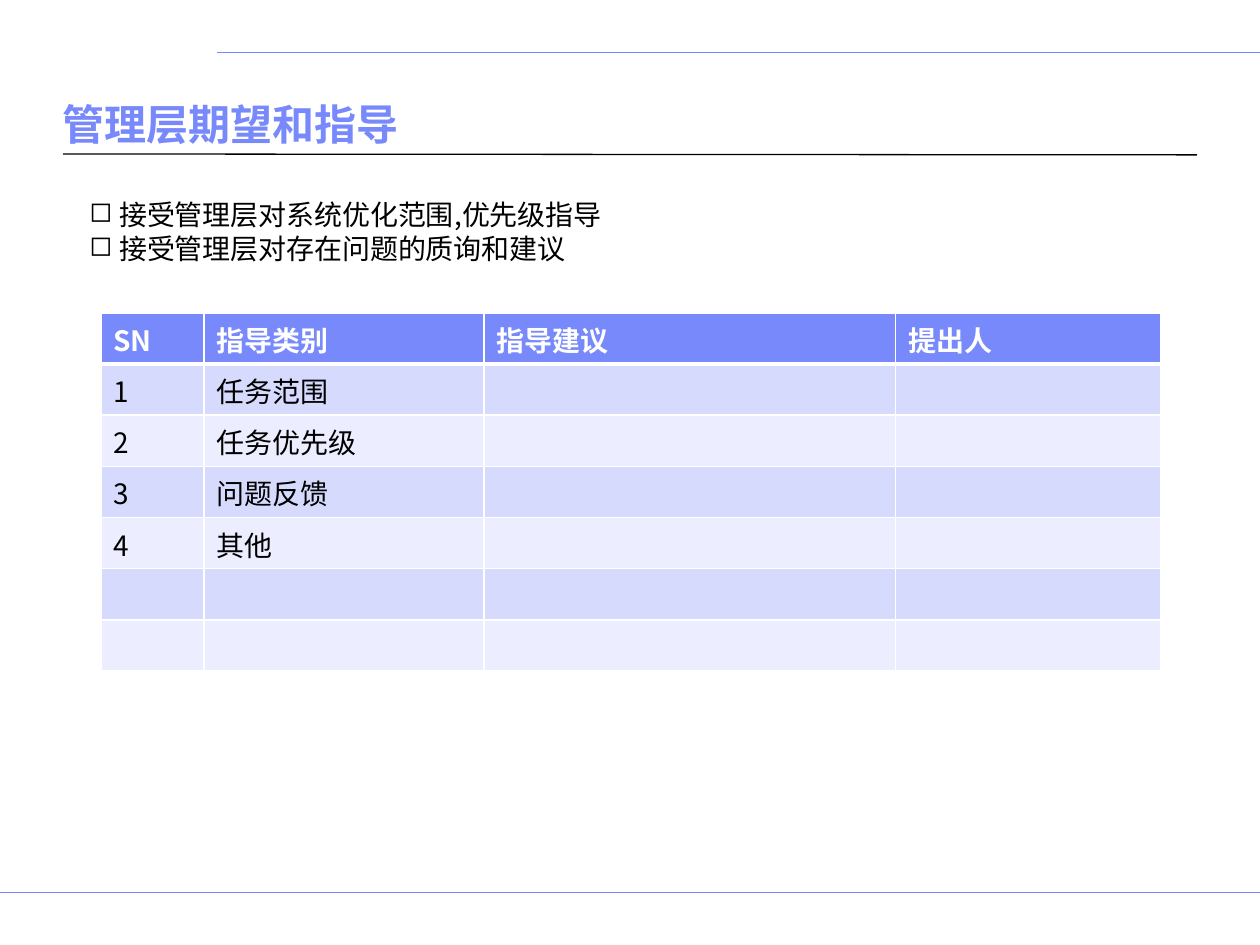
from lxml.etree import SubElement
from pptx import Presentation
from pptx.dml.color import RGBColor
from pptx.enum.shapes import MSO_CONNECTOR
from pptx.enum.text import MSO_ANCHOR
from pptx.oxml.ns import qn
from pptx.util import Pt

FONT = "Noto Sans CJK SC"
BLUE = RGBColor(0x78, 0x89, 0xFB)
BLACK = RGBColor(0, 0, 0)
WHITE = RGBColor(0xFF, 0xFF, 0xFF)
BANDS = (RGBColor(0xD6, 0xDA, 0xFD), RGBColor(0xEC, 0xED, 0xFE))

TITLE = "管理层期望和指导"
GOALS = ["接受管理层对系统优化范围,优先级指导", "接受管理层对存在问题的质询和建议"]
HEADER = ["SN", "指导类别", "指导建议", "提出人"]
CATEGORIES = ["任务范围", "任务优先级", "问题反馈", "其他"]
EMPTY_ROWS = 2
COLUMN_WIDTHS = [59, 160, 235.3, 151.2]
ROW_HEIGHT = 29.25
BODY_SIZE = 16
RULES = [
    ((123.8, 30), (720, 30), BLUE, 0.5),
    ((0, 510), (720, 510), BLUE, 0.5),
    ((36, 88), (684, 88.5), BLACK, 0.75),
]


def add_rule(slide, start, end, color, width):
    connector = slide.shapes.add_connector(
        MSO_CONNECTOR.STRAIGHT, *(Pt(value) for value in start + end)
    )
    connector.line.color.rgb = color
    connector.line.width = Pt(width)
    SubElement(connector._element.spPr, qn("a:effectLst"))


def add_text(paragraph, text, size, color, bold=False):
    run = paragraph.add_run()
    run.text = text
    run.font.size = Pt(size)
    run.font.bold = bold
    run.font.color.rgb = color
    run.font.name = FONT
    SubElement(run._r.get_or_add_rPr(), qn("a:ea"), typeface=FONT)


def add_text_frame(slide, left, top, width, height):
    frame = slide.shapes.add_textbox(Pt(left), Pt(top), Pt(width), Pt(height)).text_frame
    frame.word_wrap = True
    return frame


def add_bullet(paragraph, indent):
    properties = paragraph._p.get_or_add_pPr()
    properties.set("marL", str(Pt(indent)))
    properties.set("indent", str(-Pt(indent)))
    SubElement(properties, qn("a:buChar"), char="◻")


def set_borders(cell, bottom_width):
    properties = cell._tc.get_or_add_tcPr()
    widths = {"lnL": 1, "lnR": 1, "lnT": 1, "lnB": bottom_width}
    for position, (side, width) in enumerate(widths.items()):
        line = SubElement(properties, qn(f"a:{side}"), w=str(Pt(width)))
        fill = SubElement(line, qn("a:solidFill"))
        SubElement(fill, qn("a:srgbClr"), val=str(WHITE))
        properties.insert(position, line)


def add_guidance_table(slide):
    rows = [HEADER]
    rows += [[str(number), name, "", ""] for number, name in enumerate(CATEGORIES, 1)]
    rows += [[""] * len(HEADER) for _ in range(EMPTY_ROWS)]
    table = slide.shapes.add_table(
        len(rows), len(HEADER), Pt(57.6), Pt(178.8),
        Pt(sum(COLUMN_WIDTHS)), Pt(ROW_HEIGHT * len(rows)),
    ).table
    for column, width in zip(table.columns, COLUMN_WIDTHS):
        column.width = Pt(width)
    for row_index, row in enumerate(rows):
        table.rows[row_index].height = Pt(ROW_HEIGHT)
        is_header = row_index == 0
        for column_index, text in enumerate(row):
            cell = table.cell(row_index, column_index)
            cell.fill.solid()
            cell.fill.fore_color.rgb = BLUE if is_header else BANDS[(row_index - 1) % 2]
            set_borders(cell, 3 if is_header else 1)
            paragraph = cell.text_frame.paragraphs[0]
            if text:
                add_text(paragraph, text, BODY_SIZE, WHITE if is_header else BLACK, is_header)
            else:
                SubElement(paragraph._p, qn("a:endParaRPr"), sz=str(BODY_SIZE * 100))


def main():
    presentation = Presentation()
    presentation.slide_width, presentation.slide_height = Pt(720), Pt(540)
    slide = presentation.slides.add_slide(presentation.slide_layouts[6])
    for rule in RULES:
        add_rule(slide, *rule)

    title = add_text_frame(slide, 36, 22.3, 648, 66.2)
    title.margin_left = title.margin_right = 0
    title.vertical_anchor = MSO_ANCHOR.BOTTOM
    add_text(title.paragraphs[0], TITLE, 24, BLUE, True)

    add_guidance_table(slide)

    goals = add_text_frame(slide, 44, 109.4, 401.8, 46)
    for index, goal in enumerate(GOALS):
        paragraph = goals.add_paragraph() if index else goals.paragraphs[0]
        add_bullet(paragraph, 17)
        add_text(paragraph, goal, BODY_SIZE, BLACK)

    presentation.save("out.pptx")


if __name__ == "__main__":
    main()
